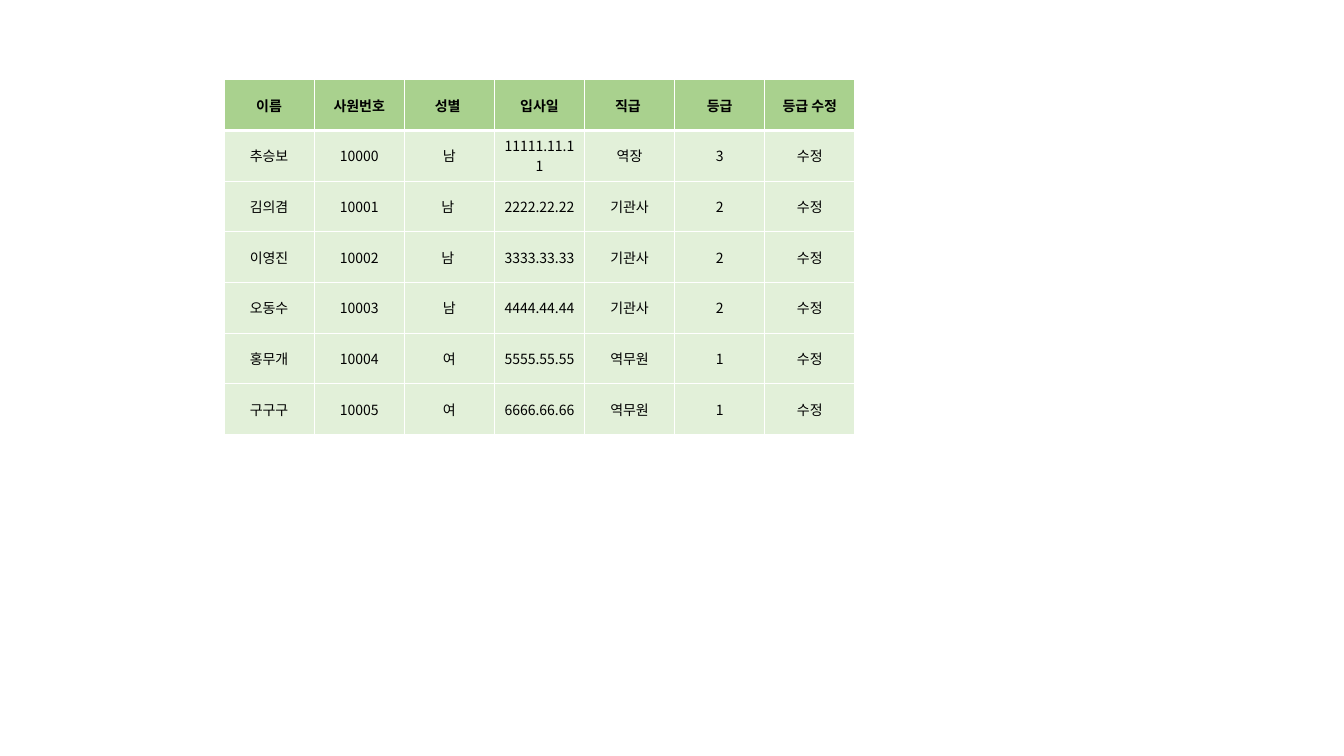
from pptx import Presentation
from pptx.dml.color import RGBColor
from pptx.enum.text import MSO_ANCHOR as Anchor, PP_ALIGN as Align
from pptx.oxml.ns import qn
from pptx.util import Pt
from lxml.etree import SubElement

FONT = "Noto Sans CJK KR"
BLACK = RGBColor(0x00, 0x00, 0x00)
WHITE = RGBColor(0xFF, 0xFF, 0xFF)
HEADER_GREEN = RGBColor(0xA9, 0xD1, 0x8E)
BODY_GREEN = RGBColor(0xE2, 0xF0, 0xD9)

HEADINGS = ("이름", "사원번호", "성별 ", "입사일", "직급 ", "등급", "등급 수정")
EMPLOYEES = (
    ("추승보", "10000", "남", "11111.11.11", "역장", "3"),
    ("김의겸", "10001", "남 ", "2222.22.22", "기관사", "2"),
    ("이영진", "10002", "남 ", "3333.33.33", "기관사", "2"),
    ("오동수", "10003", "남", "4444.44.44", "기관사", "2"),
    ("홍무개", "10004", "여", "5555.55.55", "역무원", "1"),
    ("구구구", "10005", "여", "6666.66.66", "역무원", "1"),
)
EDIT_LABEL = "수정"


def set_borders(cell, top, bottom):
    """Draw white borders around a cell, with its own top and bottom widths."""
    properties = cell._tc.get_or_add_tcPr()
    for side, width in (("L", 1), ("R", 1), ("T", top), ("B", bottom)):
        border = SubElement(properties, qn(f"a:ln{side}"), w=str(Pt(width)))
        border_fill = SubElement(border, qn("a:solidFill"))
        SubElement(border_fill, qn("a:srgbClr"), val=str(WHITE))


def fill_cell(cell, wording, row_index):
    """Write and style one cell as a heading or an employee entry."""
    is_heading = row_index == 0
    set_borders(cell, 3 if row_index == 1 else 1, 3 if is_heading else 1)
    cell.fill.solid()
    cell.fill.fore_color.rgb = HEADER_GREEN if is_heading else BODY_GREEN
    cell.vertical_anchor = Anchor.MIDDLE
    paragraph = cell.text_frame.paragraphs[0]
    paragraph.alignment = Align.CENTER
    run = paragraph.add_run()
    run.text = wording
    run.font.name = FONT
    run.font.size = Pt(10)
    run.font.bold = is_heading
    run.font.color.rgb = BLACK
    SubElement(run._r.get_or_add_rPr(), qn("a:ea"), typeface=FONT)


def add_employee_table(slide, left, top, width, height):
    """Place the employee table with equal rows and columns in the given box."""
    records = [HEADINGS] + [employee + (EDIT_LABEL,) for employee in EMPLOYEES]
    employee_table = slide.shapes.add_table(
        len(records), len(HEADINGS), Pt(left), Pt(top), Pt(width), Pt(height)
    ).table
    for column in employee_table.columns:
        column.width = Pt(width / len(HEADINGS))
    for row_index, record in enumerate(records):
        employee_table.rows[row_index].height = Pt(height / len(records))
        for column_index, wording in enumerate(record):
            fill_cell(employee_table.cell(row_index, column_index), wording, row_index)


def main():
    """Build the employee list slide and save it."""
    presentation = Presentation()
    presentation.slide_width, presentation.slide_height = Pt(960), Pt(540)
    slide = presentation.slides.add_slide(presentation.slide_layouts[6])
    add_employee_table(slide, 160, 57, 450.8, 253.4)
    presentation.save("out.pptx")


if __name__ == "__main__":
    main()
